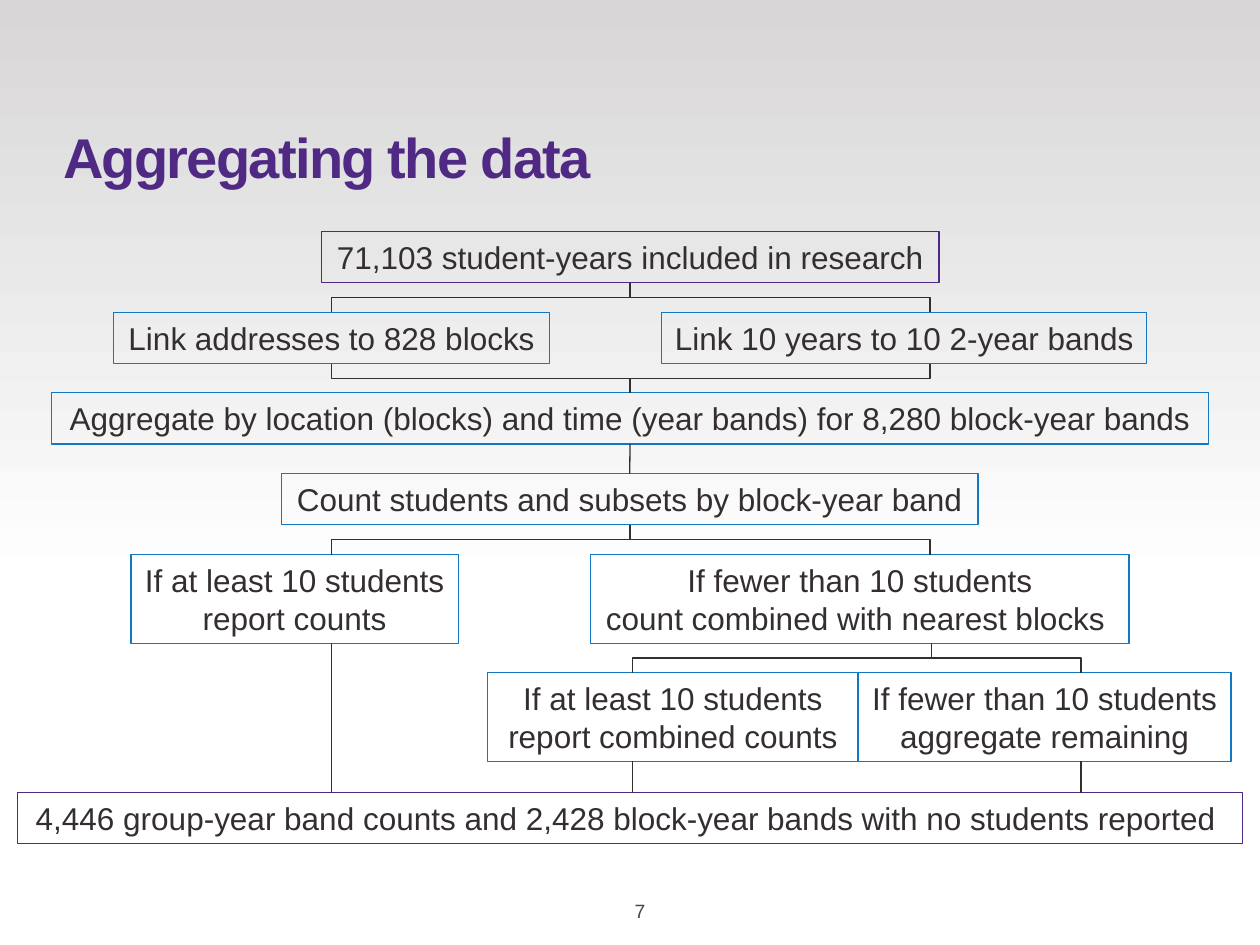
from pptx import Presentation
from pptx.dml.color import RGBColor
from pptx.enum.shapes import MSO_CONNECTOR, MSO_SHAPE
from pptx.enum.text import MSO_ANCHOR, MSO_AUTO_SIZE, PP_ALIGN
from pptx.oxml.ns import qn
from pptx.util import Cm, Pt
from lxml.etree import SubElement

PURPLE, BLUE, DARK = "502984", "1377C3", "342F2E"
ONE_LINE, TWO_LINES = 1.03, 1.79
ROWS = [4.67, 6.3, 7.92, 9.55, 11.18, 13.56, 15.98]
MID, LEFT, RIGHT = 12.7, 6.68, 18.75


def rgb(color):
    return RGBColor.from_string(color)


def add_line(kind, x1, y1, x2, y2):
    """Draw a line downwards; an elbow leaves and arrives vertically."""
    if kind == MSO_CONNECTOR.ELBOW:
        # Lay the elbow on its side about its centre, then turn it upright
        cx, cy = (x1 + x2) / 2, (y1 + y2) / 2
        half_w, half_h = (y2 - y1) / 2, abs(x2 - x1) / 2
        side = -1 if x2 < x1 else 1
        c = s.shapes.add_connector(kind, Cm(cx + side * half_w), Cm(cy - half_h),
                                   Cm(cx - side * half_w), Cm(cy + half_h))
        xfrm = c._element.spPr.find(qn("a:xfrm"))
        xfrm.set("rot", "5400000" if side < 0 else "16200000")
    else:
        c = s.shapes.add_connector(kind, Cm(x1), Cm(y1), Cm(x2), Cm(y2))
    c.line.color.rgb = rgb(DARK)
    c.line.width = Pt(0.75)
    SubElement(c._element.spPr, qn("a:effectLst"))
    return c


prs = Presentation()
prs.slide_width, prs.slide_height = Cm(25.4), Cm(19.05)
s = prs.slides.add_slide(prs.slide_layouts[5])

# Shaded band behind the title
band = s.shapes.add_shape(MSO_SHAPE.RECTANGLE, 0, 0, prs.slide_width, Cm(11.81))
band.shadow.inherit = False
band.line.fill.background()
band.fill.gradient()
band.fill.gradient_angle = 90
for stop, position, color in zip(band.fill.gradient_stops, (0, 1), ("FFFFFF", "D8D6D6")):
    stop.position = position
    stop.color.rgb = rgb(color)
s.shapes._spTree.insert(2, band._element)

# Title
title = s.shapes.title
title.left, title.top, title.width, title.height = Cm(1.27), Cm(0.79), Cm(23.32), Cm(3.05)
tf = title.text_frame
tf.text = "Aggregating the data"
tf.auto_size = MSO_AUTO_SIZE.NONE
tf.vertical_anchor = MSO_ANCHOR.BOTTOM
tf.margin_left = tf.margin_right = tf.margin_top = tf.margin_bottom = 0
p = tf.paragraphs[0]
p.alignment = PP_ALIGN.LEFT
p.line_spacing = 0.85
r = p.runs[0]
r.font.name, r.font.size, r.font.bold = "Arial", Pt(32), True
r.font.color.rgb = rgb(PURPLE)
r._r.get_or_add_rPr().set("spc", "-100")

# Slide number
number = s.shapes.add_textbox(Cm(12.24), Cm(17.86), Cm(1.37), Cm(1.02))
tf = number.text_frame
tf.text = "7"
tf.word_wrap = True
tf.vertical_anchor = MSO_ANCHOR.MIDDLE
tf.margin_left = Cm(0.08)
tf.margin_right = Cm(0.13)
p = tf.paragraphs[0]
p.alignment = PP_ALIGN.CENTER
r = p.runs[0]
r.font.name, r.font.size = "Arial", Pt(11)
r.font.color.rgb = rgb("4A4341")

# Flow chart boxes: row, left, width, outline, text
boxes = [
    (0, 6.48, 12.45, PURPLE, "71,103 student-years included in research"),
    (1, 2.29, 8.79, BLUE, "Link addresses to 828 blocks"),
    (1, 13.34, 9.78, BLUE, "Link 10 years to 10 2-year bands"),
    (2, 1.04, 23.32, BLUE,
     "Aggregate by location (blocks) and time (year bands) for 8,280 block-year bands"),
    (3, 5.67, 14.05, BLUE, "Count students and subsets by block-year band"),
    (4, 2.64, 6.6, BLUE, "If at least 10 students\nreport counts"),
    (4, 11.91, 10.85, BLUE, "If fewer than 10 students\ncount combined with nearest blocks "),
    (5, 17.3, 7.52, BLUE, "If fewer than 10 students\naggregate remaining"),
    (5, 9.83, 7.47, BLUE, "If at least 10 students\nreport combined counts"),
    (6, 0.36, 24.69, PURPLE,
     "4,446 group-year band counts and 2,428 block-year bands with no students reported "),
]
drawn = []
for row, left, width, outline, text in boxes:
    height = TWO_LINES if "\n" in text else ONE_LINE
    sp = s.shapes.add_shape(MSO_SHAPE.RECTANGLE, Cm(left), Cm(ROWS[row]), Cm(width), Cm(height))
    sp.shadow.inherit = False
    sp.fill.background()
    sp.line.color.rgb = rgb(outline)
    sp.line.width = Pt(0.75)
    tf = sp.text_frame
    tf.text = text
    tf.word_wrap = False
    tf.vertical_anchor = MSO_ANCHOR.TOP
    for p in tf.paragraphs:
        p.alignment = PP_ALIGN.CENTER
        for r in p.runs:
            r.font.name, r.font.size = "Arial", Pt(18)
            r.font.color.rgb = rgb(DARK)
    drawn.append(sp)

# Lines between rows: x at start, upper row, its height, x at end
elbows = [
    (MID, 0, ONE_LINE, LEFT),
    (MID, 0, ONE_LINE, RIGHT),
    (LEFT, 1, ONE_LINE, MID),
    (RIGHT, 1, ONE_LINE, MID),
    (MID, 3, ONE_LINE, LEFT),
    (MID, 3, ONE_LINE, RIGHT),
    (18.78, 4, TWO_LINES, 12.75),
    (18.78, 4, TWO_LINES, 21.79),
]
for x1, row, height, x2 in elbows:
    add_line(MSO_CONNECTOR.ELBOW, x1, ROWS[row] + height, x2, ROWS[row + 1])

for x, row in [(LEFT, 4), (12.75, 5), (21.79, 5)]:
    add_line(MSO_CONNECTOR.STRAIGHT, x, ROWS[row] + TWO_LINES, x, ROWS[6])

aggregate, count = drawn[3], drawn[4]
c = add_line(MSO_CONNECTOR.STRAIGHT, MID, ROWS[2] + ONE_LINE, MID, ROWS[3])
c.begin_connect(aggregate, 2)
c.end_connect(count, 0)

prs.save("out.pptx")
